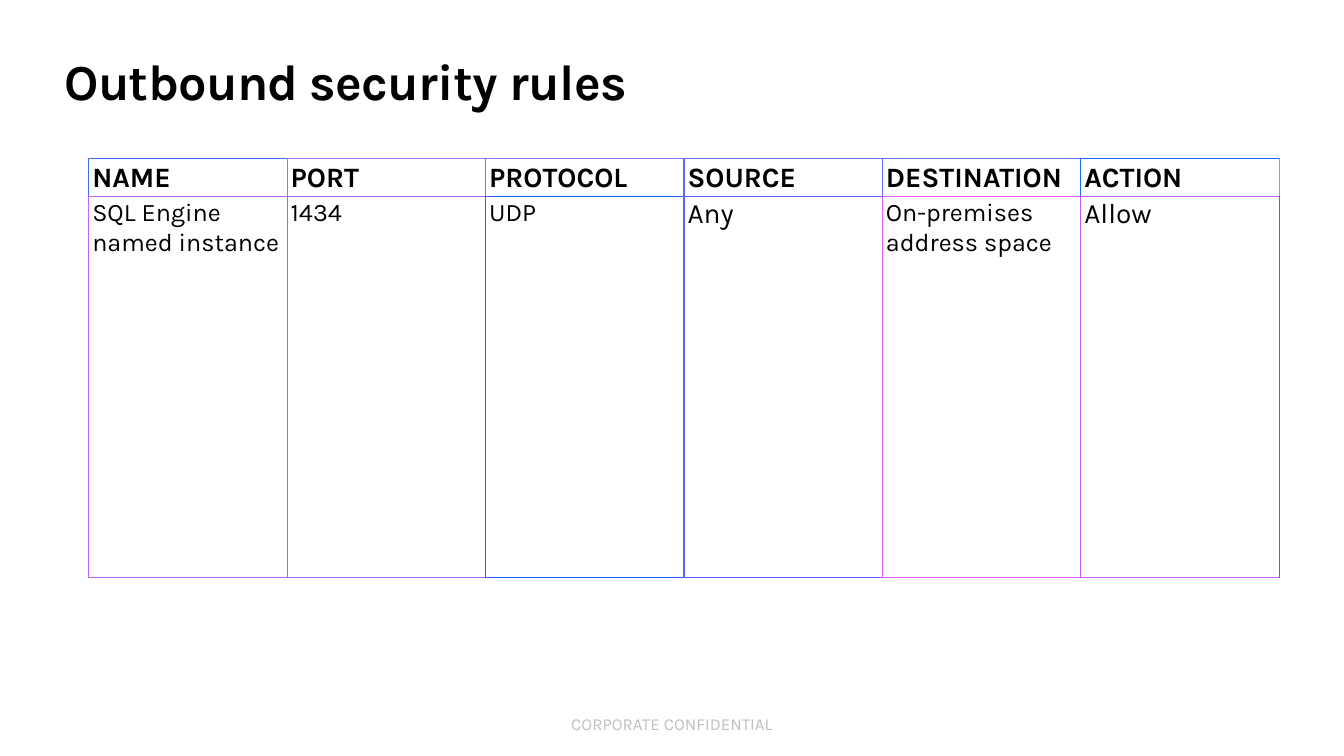
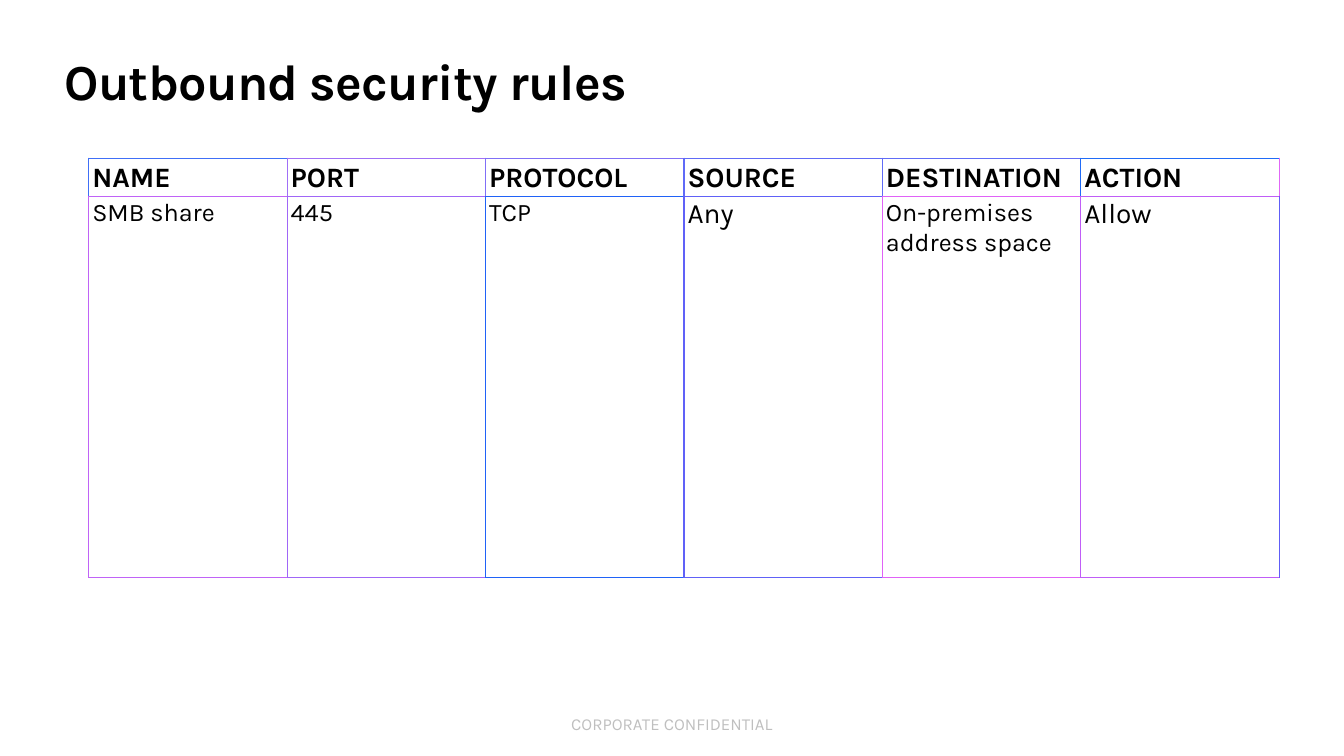
import pptx
import pptx.util
import pptx.dml.color
import pptx.enum.text
import pptx.oxml.ns
from lxml import etree

Pt = pptx.util.Pt
Anchor = pptx.enum.text.MSO_ANCHOR
Align = pptx.enum.text.PP_ALIGN

# Content
TITLE = "Outbound security rules"
FOOTER = "CORPORATE CONFIDENTIAL"
HEADERS = ["NAME", "PORT", "PROTOCOL", "SOURCE", "DESTINATION", "ACTION"]
RULES = [
    ["SQL Engine named instance", "1434", "UDP", "Any", "On-premises address space", "Allow"],
    ["SMB share", "445", "TCP", "Any", "On-premises address space", "Allow"],
]

# Style
FONT = "Karla"
COLORS = {"text": "000000", "footer": "BFBFBF"}
# Vertical line colours, left to right; each also colours the top of its cell
ROW_LINES = [
    ["406FF7", "A06FF7", "806FF7", "606AF7", "606CF7", "206BF7", "E067F7"],
    ["C063F7", "A066F7", "2062F7", "6061F7", "E062F7", "C05DF7", "605DF7"],
]
BODY_SIZES = [18, 18, 18, 20, 18, 20]
TABLE_LEFT, TABLE_TOP = 63.4, 113
COLUMN_WIDTH = 141.75
ROW_HEIGHTS = [27.4, 272.2]


def style_font(paragraph, size, color="text", bold=False):
    font = paragraph.font
    font.name, font.size, font.bold = FONT, Pt(size), bold
    font.color.rgb = pptx.dml.color.RGBColor.from_string(COLORS[color])


def set_margins(frame, horizontal=0, vertical=0):
    frame.margin_left = frame.margin_right = Pt(horizontal)
    frame.margin_top = frame.margin_bottom = Pt(vertical)


def place(shape, left, top, width, height):
    shape.left, shape.top = Pt(left), Pt(top)
    shape.width, shape.height = Pt(width), Pt(height)


def add_border(cell, side, color, width):
    properties = cell._tc.get_or_add_tcPr()
    qn = pptx.oxml.ns.qn
    line = etree.SubElement(properties, qn(f"a:ln{side}"), w=str(Pt(width)))
    fill = etree.SubElement(line, qn("a:solidFill"))
    etree.SubElement(fill, qn("a:srgbClr"), val=color)


def add_layout_footer(layout, slide):
    """Build the footer once and move it to the shared layout."""
    footer = slide.shapes.add_textbox(Pt(402.5), Pt(509.8), Pt(155), Pt(14.4))
    frame = footer.text_frame
    set_margins(frame)
    frame.word_wrap = False
    frame.vertical_anchor = Anchor.MIDDLE
    paragraph = frame.paragraphs[0]
    paragraph.text = FOOTER
    paragraph.alignment = Align.CENTER
    style_font(paragraph, 12, "footer")
    layout.shapes._spTree.append(footer._element)


def fill_title(slide):
    title = slide.shapes.title
    place(title, 46, 36, 868, 44)
    frame = title.text_frame
    set_margins(frame)
    frame.word_wrap = True
    frame.auto_size = pptx.enum.text.MSO_AUTO_SIZE.NONE
    frame.vertical_anchor = Anchor.TOP
    paragraph = frame.paragraphs[0]
    paragraph.text = TITLE
    paragraph.alignment = Align.LEFT
    style_font(paragraph, 36, bold=True)
    paragraph.runs[0].font._element.set("spc", "-50")


def add_rule_table(slide, rule):
    rows = [HEADERS, rule]
    table = slide.shapes.add_table(
        len(rows), len(HEADERS), Pt(TABLE_LEFT), Pt(TABLE_TOP),
        Pt(COLUMN_WIDTH * len(HEADERS)), Pt(sum(ROW_HEIGHTS))).table
    table.first_row = table.horz_banding = False
    for column in table.columns:
        column.width = Pt(COLUMN_WIDTH)
    for row_index, texts in enumerate(rows):
        table.rows[row_index].height = Pt(ROW_HEIGHTS[row_index])
        is_header = row_index == 0
        lines = ROW_LINES[row_index]
        for column_index, text in enumerate(texts):
            cell = table.cell(row_index, column_index)
            set_margins(cell, 2.5, 1.25)
            cell.vertical_anchor = Anchor.BOTTOM if is_header else Anchor.TOP
            paragraph = cell.text_frame.paragraphs[0]
            paragraph.text = text
            style_font(paragraph, 20 if is_header else BODY_SIZES[column_index], bold=is_header)
            # The line between the rows is thinner and takes the body colour
            add_border(cell, "L", lines[column_index], 1)
            add_border(cell, "R", lines[column_index + 1], 1)
            add_border(cell, "T", lines[column_index], 1 if is_header else 0.75)
            add_border(cell, "B", ROW_LINES[1][column_index], 0.75 if is_header else 1)
            cell.fill.background()


def main():
    presentation = pptx.Presentation()
    presentation.slide_width, presentation.slide_height = Pt(960), Pt(540)
    layout = presentation.slide_layouts.get_by_name("Title Only")
    for index, rule in enumerate(RULES):
        slide = presentation.slides.add_slide(layout)
        if index == 0:
            add_layout_footer(layout, slide)
        fill_title(slide)
        add_rule_table(slide, rule)
    presentation.save("out.pptx")


if __name__ == "__main__":
    main()
